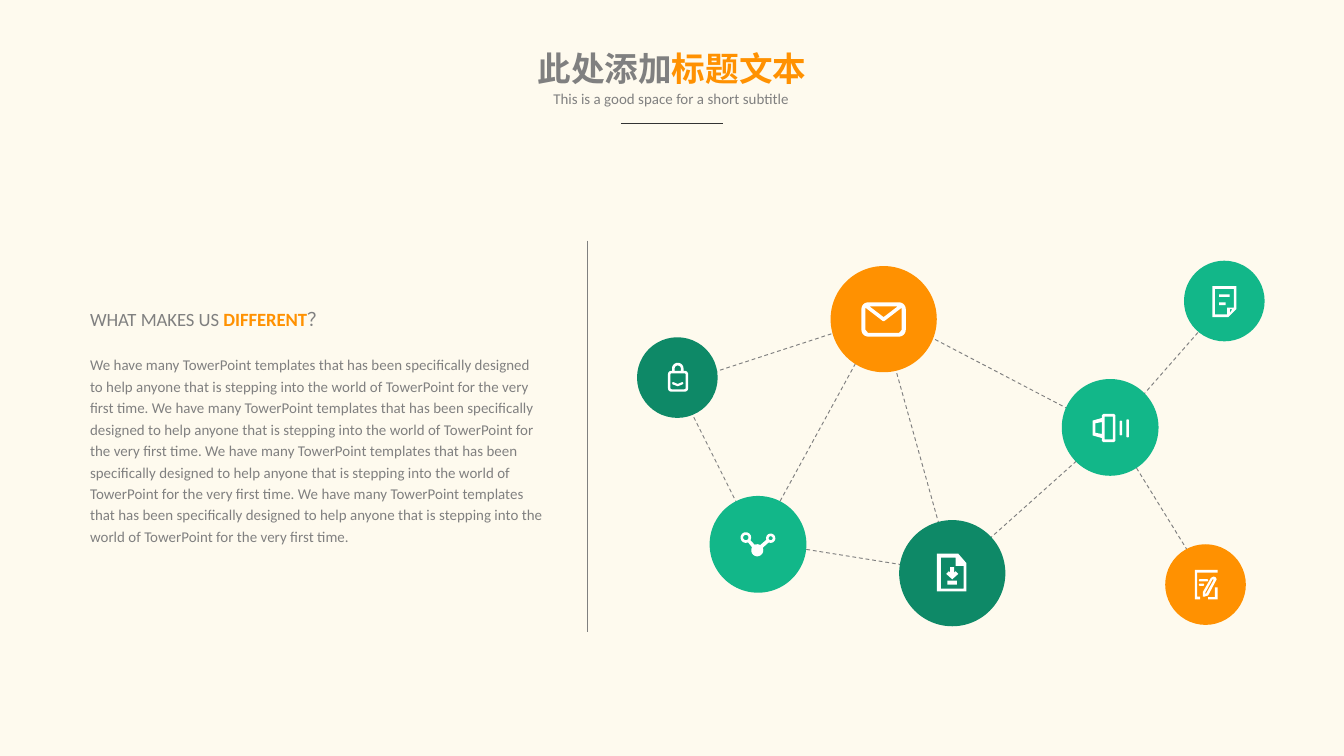
from dataclasses import dataclass
from math import cos, radians, sin

from lxml.etree import SubElement
from pptx import Presentation
from pptx.dml.color import RGBColor
from pptx.enum.dml import MSO_LINE
from pptx.enum.shapes import MSO_CONNECTOR, MSO_SHAPE
from pptx.enum.text import MSO_AUTO_SIZE, PP_ALIGN
from pptx.oxml.ns import qn
from pptx.util import Inches, Pt


@dataclass(frozen=True)
class Theme:
    cream: str = "FEFAEE"
    gray: str = "808080"
    dark: str = "333333"
    orange: str = "FF9101"
    green: str = "12B789"
    deep: str = "0E8967"
    white: str = "FFFFFF"
    font: str = "Calibri"
    title: int = 18
    heading: int = 10
    body: int = 8
    hairline: float = 0.5


T = Theme()
SENTENCE = ("We have many TowerPoint templates that has been specifically designed to help "
            "anyone that is stepping into the world of TowerPoint for the very first time.")

# Node circles: left, top, diameter, colour
NODES = [
    (6.18, 1.98, 0.79, T.orange), (6.69, 3.87, 0.79, T.deep),
    (8.67, 4.05, 0.60, T.orange), (5.28, 3.69, 0.72, T.green),
    (7.90, 2.82, 0.72, T.green), (8.81, 1.94, 0.60, T.green),
    (4.74, 2.51, 0.60, T.deep),
]
# Links between nodes: x1, y1, x2, y2
LINKS = [
    (5.31, 2.77, 6.26, 2.46), (6.39, 2.66, 5.76, 3.81), (5.95, 4.08, 6.76, 4.21),
    (7.00, 3.95, 6.64, 2.66), (6.87, 2.48, 7.98, 3.06), (8.47, 2.98, 8.97, 2.41),
    (8.01, 3.43, 7.35, 4.02), (8.43, 3.44, 8.85, 4.12), (5.14, 3.06, 5.50, 3.78),
]


def rgb(value):
    return RGBColor.from_string(value)


def style_fill(s, color):
    s.fill.solid()
    s.fill.fore_color.rgb = rgb(color)
    s.line.fill.background()
    s.shadow.inherit = False


def add_preset(slide, kind, x, y, w, h, color):
    s = slide.shapes.add_shape(kind, Inches(x), Inches(y), Inches(w), Inches(h))
    style_fill(s, color)


def add_line(slide, x1, y1, x2, y2, color=T.gray, dashed=False):
    s = slide.shapes.add_connector(MSO_CONNECTOR.STRAIGHT, Inches(x1), Inches(y1),
                                   Inches(x2), Inches(y2))
    s.line.color.rgb = rgb(color)
    s.line.width = Pt(T.hairline)
    if dashed:
        s.line.dash_style = MSO_LINE.DASH
    SubElement(s._element.spPr, qn("a:effectLst"))


def add_text(slide, x, y, w, h, wrap=False):
    tf = slide.shapes.add_textbox(Inches(x), Inches(y), Inches(w), Inches(h)).text_frame
    tf.word_wrap = wrap
    tf.auto_size = MSO_AUTO_SIZE.SHAPE_TO_FIT_TEXT
    return tf


def write(p, size, *runs):
    """Fill a paragraph with (text, colour, bold) runs."""
    p.font.name, p.font.size = T.font, Pt(size)
    for text, color, bold in runs:
        r = p.add_run()
        r.text = text
        r.font.color.rgb = rgb(color)
        r.font.bold = bold


def arc(cx, cy, radius, start, end, steps=12):
    """Points along a clockwise arc, angles in degrees."""
    angles = [radians(start + (end - start) * i / steps) for i in range(steps + 1)]
    return [(cx + radius * cos(a), cy + radius * sin(a)) for a in angles]


def circle(cx, cy, radius):
    return arc(cx, cy, radius, 0, 360, 24)


def rounded(x, y, w, h, radius):
    right, bottom = x + w - radius, y + h - radius
    return (arc(x + radius, y + radius, radius, 180, 270, 6)
            + arc(right, y + radius, radius, 270, 360, 6)
            + arc(right, bottom, radius, 0, 90, 6)
            + arc(x + radius, bottom, radius, 90, 180, 6))


def add_icon(slide, x, y, *parts):
    """Draw white parts, each a list of contours in hundredths of an inch from (x, y)."""
    for contours in parts:
        outlines = [[(Inches(x + px / 100), Inches(y + py / 100)) for px, py in c]
                    for c in contours]
        fb = slide.shapes.build_freeform(*outlines[0][0])
        fb.add_line_segments(outlines[0][1:])
        for outline in outlines[1:]:
            fb.move_to(*outline[0])
            fb.add_line_segments(outline[1:])
        style_fill(fb.convert_to_shape(), T.white)


def add_bars(slide, x, y, *bars):
    for bx, by, w, h in bars:
        add_preset(slide, MSO_SHAPE.RECTANGLE, x + bx / 100, y + by / 100,
                   w / 100, h / 100, T.white)


def add_icons(slide):
    note = (9.02, 2.13)
    add_icon(slide, *note, [
        [(0, 0), (0, 23), (12, 23), (18, 17), (18, 0)],
        [(2, 2), (16, 2), (16, 16), (11, 16), (11, 21), (2, 21)],
        [(15, 17), (13, 20), (13, 17)]])
    add_bars(slide, *note, (5, 6, 8, 2), (5, 12, 5, 2))

    add_icon(slide, 8.13, 3.08, [  # megaphone
        [(8, 0), (16, 0), (17, 1), (17, 20), (16, 21), (8, 21), (7, 20), (7, 18),
         (0, 16), (0, 5), (7, 3), (7, 1)],
        [(2, 7), (7, 6), (7, 15), (2, 14)],
        [(9, 2), (15, 2), (15, 19), (9, 19)]],
        [rounded(20, 5, 2, 11, 1)], [rounded(25, 4, 2, 13.5, 1)])

    add_icon(slide, 8.89, 4.24,  # edit
             [[(0, 0), (17, 0), (17, 2), (1.8, 2), (1.8, 20), (4, 20), (4, 22), (0, 22)]],
             [[(15, 13), (17, 13), (17, 22), (10, 22), (10, 20.2), (15, 20.2)]],
             [[(14, 5), (15.5, 5.5), (16.3, 7), (10, 19), (7, 20), (6, 20), (6, 16.5), (12, 6)],
              [(13.3, 7), (7.8, 17), (8, 18), (8.5, 17.6), (14.2, 7.3)]],
             [rounded(3, 7, 7, 1.6, 0.8)], [rounded(3, 10.3, 4, 1.6, 0.8)])

    download = (6.97, 4.12)
    add_icon(slide, *download,
             [[(16, 0), (0, 0), (0, 28), (22, 28), (22, 7)],
              [(3, 26), (3, 3), (14, 3), (14, 9), (20, 9), (20, 26)]],
             [[(13, 14), (13, 10), (10, 10), (10, 14), (9, 13), (7, 15), (11.5, 19),
               (16, 15), (14, 13)]])
    add_bars(slide, *download, (8, 20, 7, 3))

    add_icon(slide, 5.51, 3.96, [  # network
        arc(4, 4, 4, 65, 390) + arc(12.5, 13.5, 4.5, 245, 300)
        + arc(22.5, 4.5, 3.5, 160, 475) + arc(12.5, 13.5, 4.5, 335, 570),
        circle(4, 4, 2), circle(22.5, 4.5, 1.5)])

    add_icon(slide, 4.97, 2.70, [  # lock
        rounded(0, 6, 15, 15.5, 2.5), rounded(1.8, 7.8, 11.4, 11.9, 1),
        [(3, 6)] + arc(7.3, 4.3, 4.3, 180, 360) + [(11.6, 6), (9.6, 6)]
        + arc(7.3, 4.3, 2.3, 360, 180) + [(5, 6)]],
        [[(3, 14.8), (4, 14.3), (7.3, 15.7), (10.7, 14.3), (11.6, 15), (11, 16),
          (7.3, 17.4), (3.5, 16)]])

    add_icon(slide, 6.41, 2.25, [  # mail
        rounded(0, 0, 33, 25.5, 5),
        [(27, 3), (16.5, 11), (6, 3)],
        [(3, 4), (16, 14), (17, 14), (30, 4), (30, 20.5), (28, 22.8), (5, 22.8), (3, 20.5)]])


def add_header(slide):
    p = add_text(slide, 3.88, 0.31, 2.24, 0.4).paragraphs[0]
    p.alignment = PP_ALIGN.CENTER
    write(p, T.title, ("此处添加", T.gray, True), ("标题文本", T.orange, True))
    p = add_text(slide, 4.01, 0.62, 1.97, 0.24).paragraphs[0]
    p.alignment = PP_ALIGN.CENTER
    write(p, T.body, ("This is a good space for a short subtitle", T.gray, False))
    add_line(slide, 4.62, 0.92, 5.38, 0.92, T.dark)


def add_story(slide):
    tf = add_text(slide, 0.67, 2.26, 3.39, 1.82, wrap=True)
    tf.margin_left = tf.margin_right = tf.margin_top = tf.margin_bottom = 0
    heading, body = tf.paragraphs[0], tf.add_paragraph()
    heading.line_spacing = body.line_spacing = 1.2
    body.space_before = Pt(11.7)
    write(heading, T.heading, ("WHAT MAKES US ", T.gray, False),
          ("DIFFERENT", T.orange, True), ("？", T.gray, False))
    write(body, T.body, (" ".join([SENTENCE] * 4), T.gray, False))


def main():
    prs = Presentation()
    prs.slide_width, prs.slide_height = Inches(10), Inches(5.625)
    slide = prs.slides.add_slide(prs.slide_layouts[6])
    slide.background.fill.solid()
    slide.background.fill.fore_color.rgb = rgb(T.cream)
    add_story(slide)
    for link in LINKS:
        add_line(slide, *link, dashed=True)
    for x, y, d, color in NODES:
        add_preset(slide, MSO_SHAPE.OVAL, x, y, d, d, color)
    add_icons(slide)
    for top, bottom in [(2.5, 4.7), (1.79, 2.66)]:
        add_line(slide, 4.37, top, 4.37, bottom)
    add_header(slide)
    prs.save("out.pptx")


if __name__ == "__main__":
    main()
